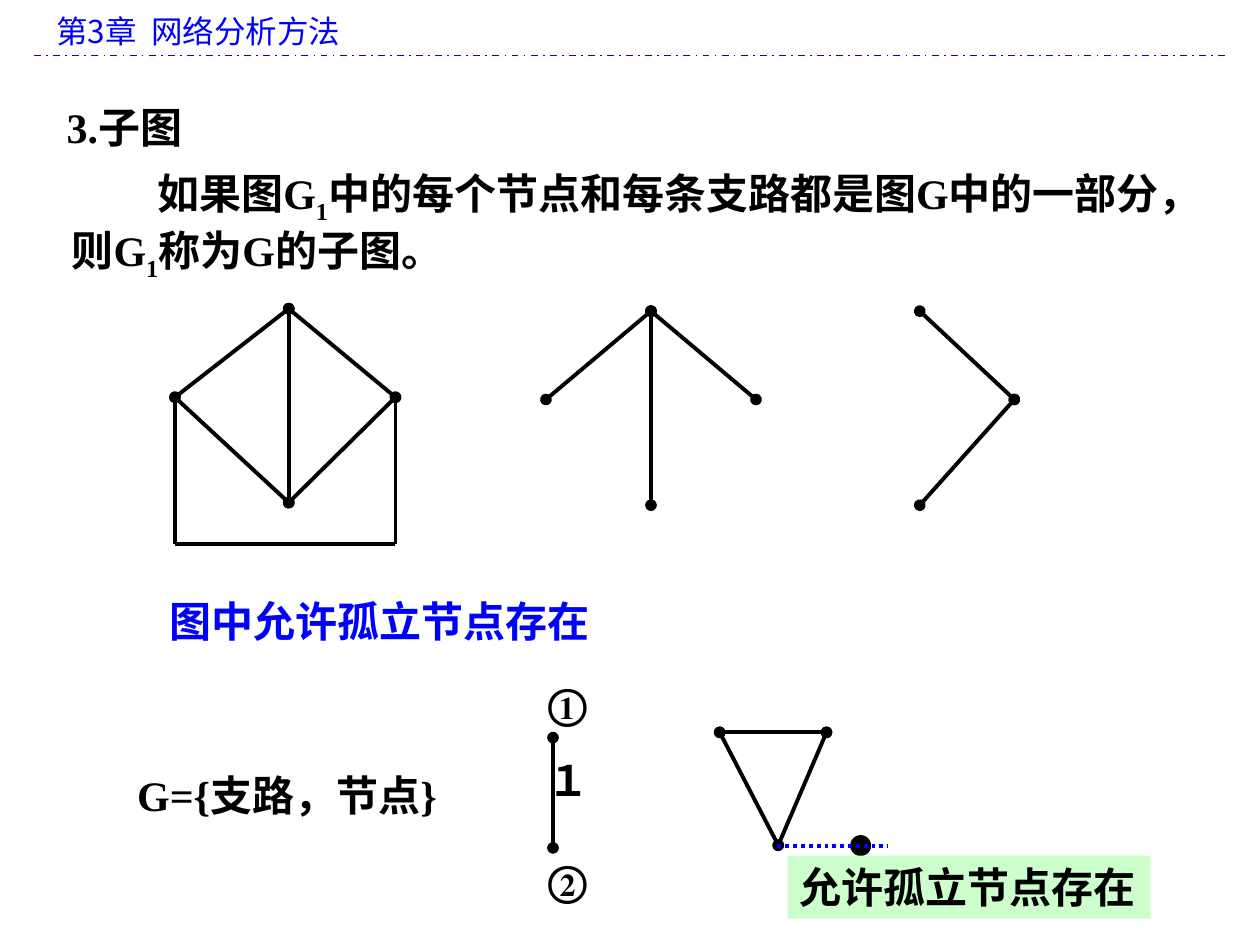
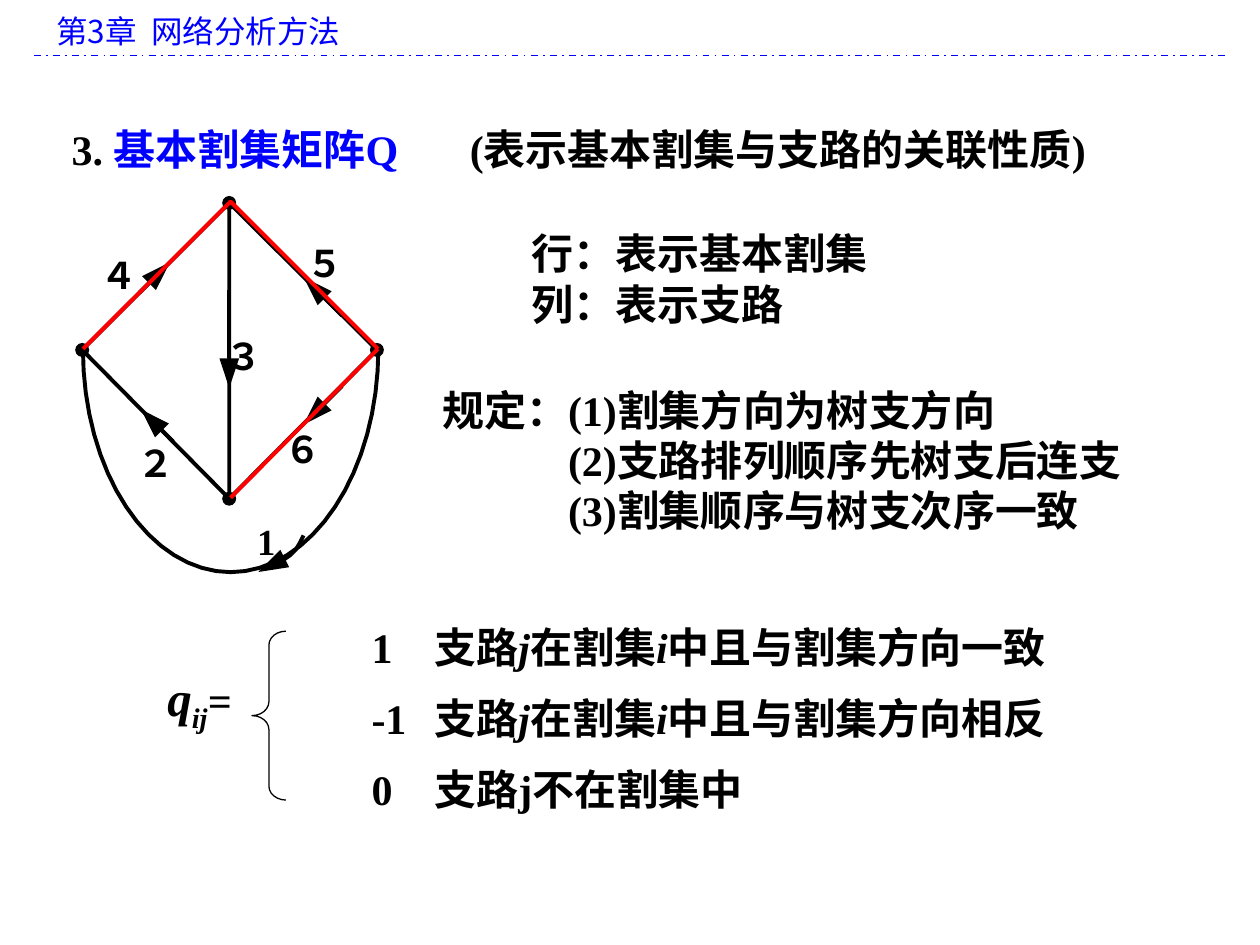
from math import cos, pi, radians, sin

from lxml import etree
from pptx import Presentation
from pptx.dml.color import RGBColor
from pptx.enum import dml, shapes, text as txt
from pptx.oxml.ns import qn
from pptx.util import Pt

COLORS = {"ink": "000000", "blue": "0000FF", "red": "FF0000", "mint": "CCFFCC"}
LATIN = "Times New Roman"
CJK = "Noto Sans CJK SC"
SUB = {"baseline": -25000}
ITALIC = {"italic": True}


def rgb(name):
    return RGBColor.from_string(COLORS[name])


def set_tabs(props, tabs):
    tab_list = etree.SubElement(props, qn("a:tabLst"))
    for position, side in tabs:
        etree.SubElement(tab_list, qn("a:tab"), pos=str(Pt(position)), algn=side)


def add_run(paragraph, words, size=24, color="ink", bold=True, italic=False,
            font=LATIN, baseline=0):
    run = paragraph.add_run()
    run.text = words
    run.font.size = Pt(size)
    run.font.bold = bold
    run.font.italic = italic
    run.font.color.rgb = rgb(color)
    run.font.name = font
    props = run._r.get_or_add_rPr()
    etree.SubElement(props, qn("a:ea"), typeface=CJK)
    if baseline:
        props.set("baseline", str(baseline))


def add_text(slide, at, *paragraphs, wrap=True, inset=None, fill=None,
             margin=0, first_indent=0, tabs=(), **style):
    box = slide.shapes.add_textbox(*map(Pt, at))
    frame = box.text_frame
    frame.word_wrap = wrap
    frame.auto_size = txt.MSO_AUTO_SIZE.NONE
    if inset is not None:
        frame.margin_left = frame.margin_right = Pt(inset)
        frame.margin_top = frame.margin_bottom = Pt(inset)
    if fill:
        box.fill.solid()
        box.fill.fore_color.rgb = rgb(fill)
    for index, runs in enumerate(paragraphs):
        paragraph = frame.add_paragraph() if index else frame.paragraphs[0]
        props = paragraph._p.get_or_add_pPr()
        props.set("marL", str(Pt(margin)))
        props.set("indent", str(Pt(0 if index else first_indent)))
        if tabs:
            set_tabs(props, tabs)
        for run in [runs] if isinstance(runs, str) else runs:
            words, changes = (run, {}) if isinstance(run, str) else run
            add_run(paragraph, words, **{**style, **changes})


def add_line(slide, start, end, color="ink", width=2.25, dash=None, dots=False):
    line = slide.shapes.add_connector(
        shapes.MSO_CONNECTOR.STRAIGHT, *map(Pt, (*start, *end)))
    line.line.color.rgb = rgb(color)
    line.line.width = Pt(width)
    if dash:
        line.line.dash_style = dash
    if dots:
        outline = line.line._get_or_add_ln()
        for end_tag in ("a:headEnd", "a:tailEnd"):
            etree.SubElement(outline, qn(end_tag), type="oval")
    etree.SubElement(line._element.spPr, qn("a:effectLst"))


def paint(shape, fill=None, line=None, width=2.25):
    shape.shadow.inherit = False
    if fill:
        shape.fill.solid()
        shape.fill.fore_color.rgb = rgb(fill)
    else:
        shape.fill.background()
    if line:
        shape.line.color.rgb = rgb(line)
        shape.line.width = Pt(width)
    else:
        shape.line.fill.background()


def add_path(slide, points, close=False, **look):
    start, *rest = [(Pt(x), Pt(y)) for x, y in points]
    builder = slide.shapes.build_freeform(*start)
    builder.add_line_segments(rest, close=close)
    paint(builder.convert_to_shape(), **look)


def add_node(slide, center, size=8):
    x, y = center
    node = slide.shapes.add_shape(
        shapes.MSO_SHAPE.OVAL, *map(Pt, (x - size / 2, y - size / 2, size, size)))
    paint(node, fill="ink")


def add_arrow(slide, tip, angle, shaft=0, length=17, half_width=5.6):
    dx, dy = cos(radians(angle)), sin(radians(angle))
    x, y = tip
    base_x, base_y = x - length * dx, y - length * dy
    if shaft:
        add_line(slide, (base_x - shaft * dx, base_y - shaft * dy), (base_x, base_y))
    wing_x, wing_y = -half_width * dy, half_width * dx
    add_path(slide, [tip, (base_x + wing_x, base_y + wing_y),
                     (base_x - wing_x, base_y - wing_y)], close=True, fill="ink")


def add_graph(slide, nodes, edges, dots=True):
    for start, end in edges.split_pairs if hasattr(edges, "split_pairs") else edges.split():
        add_line(slide, nodes[start], nodes[end], dots=dots)


def add_chapter_slide(deck):
    slide = deck.slides.add_slide(deck.slide_layouts[6])
    add_text(slide, (25.2, 3.6, 674.6, 28.8), "第3章  网络分析方法",
             size=18, color="blue", bold=False, font=CJK)
    add_line(slide, (19.5, 31.8), (700, 31.8), color="blue", width=1,
             dash=dml.MSO_LINE.DASH_DOT)
    return slide


def build_subgraph_slide(deck):
    slide = add_chapter_slide(deck)
    add_text(slide, (31, 54.7, 656, 36), "3.子图")
    add_text(slide, (33.8, 92.2, 656.6, 64.8),
             ["如果图G", ("1", SUB), "中的每个节点和每条支路都是图G中的一部分，则G",
              ("1", SUB), "称为G的子图。"], first_indent=49)

    whole = {"t": (165, 176.4), "l": (100, 227), "r": (226, 227), "b": (165, 287.2),
             "x": (100, 311), "y": (226, 311)}
    add_graph(slide, whole, "tl tb lb tr rb")
    add_graph(slide, whole, "lx xy ry", dots=False)
    star = {"t": (372, 177.8), "l": (312, 228.3), "r": (432, 228.3), "b": (372, 288.7)}
    add_graph(slide, star, "tb tl tr")
    corner = {"t": (525.6, 177.8), "r": (579.6, 228.3), "b": (525.6, 288.7)}
    add_graph(slide, corner, "tr rb")

    add_text(slide, (90, 337, 423.4, 36), "图中允许孤立节点存在", color="blue")
    add_text(slide, (71.3, 436.3, 209.5, 36), "G={支路，节点}")

    add_graph(slide, {"1": (316, 421.5), "2": (316, 484.5)}, "12")
    for number, top in (("①", 383.8), ("②", 484.5)):
        add_text(slide, (306, top, 39, 36), number, wrap=False)
    add_text(slide, (306, 427.7, 46, 36), "１")

    triangle = {"l": (411.3, 418.5), "r": (472.3, 418.5), "b": (444.7, 483)}
    add_graph(slide, triangle, "lr rb lb")
    add_node(slide, (491.8, 483.2), size=12)
    add_text(slide, (450, 489, 207.4, 36), "允许孤立节点存在",
             wrap=False, fill="mint")
    add_line(slide, (444.3, 483.2), (507.6, 483.2), color="blue",
             dash=dml.MSO_LINE.ROUND_DOT)


def draw_cut_set_graph(slide):
    top, left, right, bottom = (131, 116), (47, 200), (215.4, 200), (131, 285)
    add_path(slide, [bottom, left, top], close=True, line="ink")
    add_path(slide, [top, right, bottom], line="ink")
    steps = 32
    arc = [(131.8 - 84.4 * cos(pi * step / steps), 199.6 + 127.4 * sin(pi * step / steps))
           for step in range(steps + 1)]
    add_path(slide, arc, line="ink")
    for node in (top, left, right, bottom):
        add_node(slide, node)

    add_path(slide, [(173.5, 306), (171.4, 310.3), (169.2, 313.9), (165.6, 317.5),
                     (161.3, 320.4)], line="ink")
    add_arrow(slide, (147.6, 326.9), 153)
    for tip, angle, shaft in (((131, 221.8), 90, 39), ((97.2, 149.8), -45, 8),
                              ((80.6, 234), 225, 9), ((173.5, 158.4), 225, 14),
                              ((173.5, 242.6), 135, 14)):
        add_arrow(slide, tip, angle, shaft)
    for branch, x, y in (("1", 146.9, 296.6), ("２", 78.5, 252), ("３", 128.9, 190.8),
                         ("６", 162.7, 244.1), ("５", 175, 137.5), ("４", 57.6, 144.7)):
        add_text(slide, (x, y, 21, 25.2), branch, size=21, wrap=False, inset=0)

    add_path(slide, [(216, 199.4), (131.8, 115.2), (47.5, 199.4)], line="red")
    add_line(slide, (216, 199.4), (131.8, 284.4), color="red")


def build_cut_set_slide(deck):
    slide = add_chapter_slide(deck)
    add_text(slide, (33.8, 67, 215.3, 36), ["3. ", ("基本割集矩阵Q", {"color": "blue"})])
    add_text(slide, (261.4, 67, 411.8, 36), "(表示基本割集与支路的关联性质)")
    add_text(slide, (296.6, 126.7, 370.8, 64.8), "行：表示基本割集", "列：表示支路")
    add_text(slide, (245.5, 216, 445.7, 93.6), "规定：(1)割集方向为树支方向",
             "(2)支路排列顺序先树支后连支", "(3)割集顺序与树支次序一致",
             margin=72, first_indent=-72)
    draw_cut_set_graph(slide)

    add_text(slide, (88.6, 378, 52.6, 41),
             [("q", {"size": 28, **ITALIC}), ("ij", {"size": 28, **ITALIC, **SUB}),
              ("=", ITALIC)], wrap=False)
    brace = slide.shapes.add_shape(
        shapes.MSO_SHAPE.LEFT_BRACE, *map(Pt, (144, 360.7, 19.4, 96.5)))
    brace.adjustments[0] = 0.41
    paint(brace, line="ink", width=0.75)

    def in_cut_set(value, direction):
        return [f"\t{value}\t支路", ("j", ITALIC), "在割集", ("i", ITALIC),
                f"中且与割集方向{direction}"]

    cases = (in_cut_set("1", "一致"), in_cut_set("-1", "相反"), "\t0\t支路j不在割集中")
    for row, case in enumerate(cases):
        add_text(slide, (169.2, 351.4 + 40.7 * row, 504.7, 36), case,
                 tabs=((19, "r"), (85, "l")))


def main():
    deck = Presentation()
    deck.slide_width, deck.slide_height = Pt(720), Pt(540)
    build_subgraph_slide(deck)
    build_cut_set_slide(deck)
    deck.save("out.pptx")


if __name__ == "__main__":
    main()
